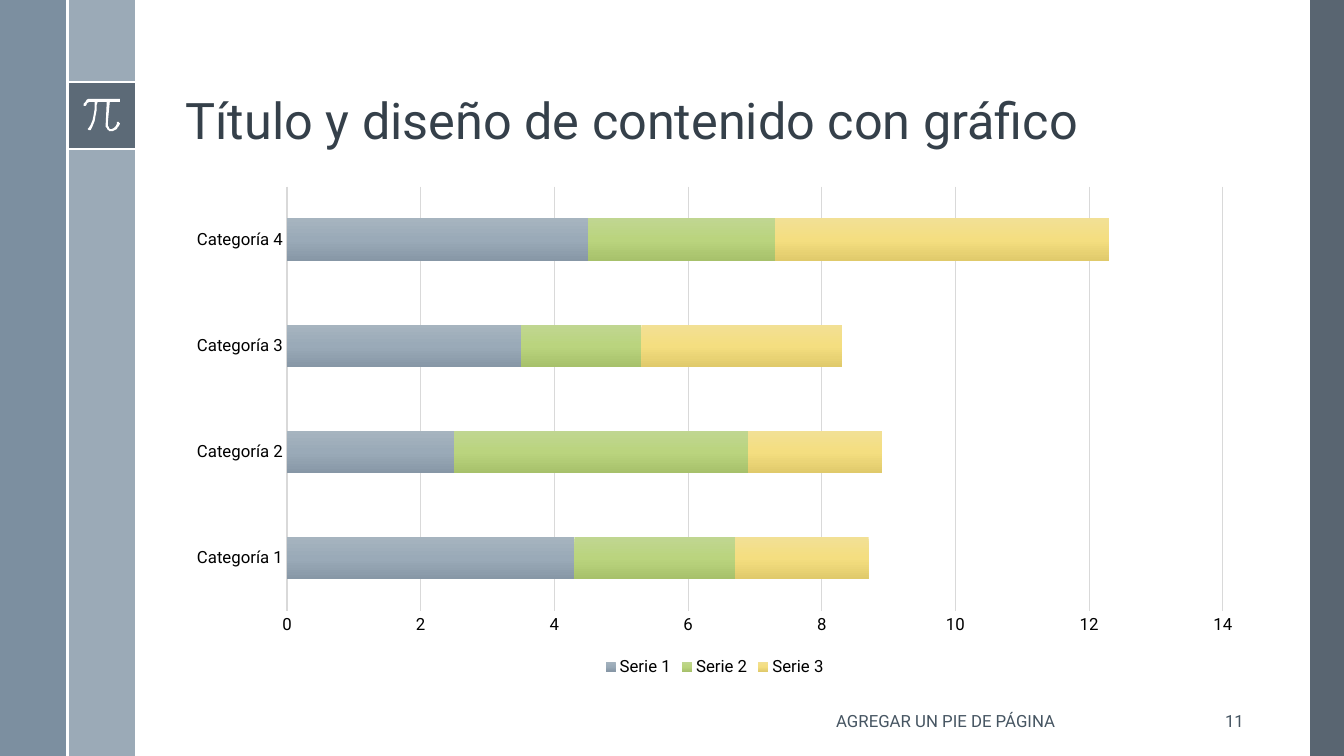
from copy import deepcopy
from dataclasses import dataclass

from pptx import Presentation
from pptx.chart.data import CategoryChartData
from pptx.dml.color import RGBColor
from pptx.enum.chart import XL_CHART_TYPE, XL_LEGEND_POSITION, XL_TICK_MARK
from pptx.enum.shapes import MSO_CONNECTOR, MSO_SHAPE
from pptx.enum.text import MSO_ANCHOR, MSO_AUTO_SIZE, PP_ALIGN
from pptx.oxml.ns import qn
from pptx.util import Cm, Pt
from lxml import etree

RECTANGLE = MSO_SHAPE.RECTANGLE
STRAIGHT = MSO_CONNECTOR.STRAIGHT
STACKED_BARS = XL_CHART_TYPE.BAR_STACKED
LEGEND_BOTTOM = XL_LEGEND_POSITION.BOTTOM
NO_TICKS = XL_TICK_MARK.NONE
MIDDLE, BOTTOM = MSO_ANCHOR.MIDDLE, MSO_ANCHOR.BOTTOM
LEFT, CENTER, RIGHT = PP_ALIGN.LEFT, PP_ALIGN.CENTER, PP_ALIGN.RIGHT
NO_AUTOFIT = MSO_AUTO_SIZE.NONE

FONT = "Roboto"
WHITE, BLACK, GRID, SLATE, TITLE_INK = "FFFFFF", "000000", "D9D9D9", "465562", "35404A"
WIDTH, HEIGHT = 33.87, 19.05
BAND = 1.7
TILE_TOP = 2.06
CONTENT_LEFT, CONTENT_WIDTH = 4.42, 27.18
FOOTER_TOP, FOOTER_HEIGHT = 17.65, 1.02
CURVE_STEPS = 6

PI_START = (118, 98)
PI_STROKES = [
    [(90, 98)],
    [(85, 98), (83, 103), (83, 104)],
    [(83, 104), (83, 105), (84, 105)],
    [(85, 105)],
    [(85, 105), (87, 101), (90, 101)],
    [(94, 101)],
    [(94, 105), (93, 122), (88, 127)],
    [(87, 128), (87, 128), (88, 129)],
    [(88, 129), (89, 129), (89, 129)],
    [(90, 129)],
    [(95, 123), (96, 105), (97, 101)],
    [(106, 101)],
    [(105, 122)],
    [(105, 122), (104, 126), (107, 129)],
    [(108, 130), (109, 130), (110, 130)],
    [(111, 130), (111, 130), (112, 130)],
    [(117, 130), (119, 123), (119, 122)],
    [(119, 122), (118, 121), (118, 121)],
    [(117, 121), (116, 121), (116, 122)],
    [(116, 122), (115, 127), (111, 128)],
    [(110, 128), (109, 128), (108, 127)],
    [(107, 126), (107, 123), (107, 122)],
    [(109, 101)],
    [(118, 101)],
    [(119, 101), (119, 100), (119, 100)],
    [(119, 99), (119, 98), (118, 98)],
]


@dataclass
class Panel:
    left: float
    top: float
    width: float
    height: float
    color: str
    opacity: int = 100


@dataclass
class Rule:
    x1: float
    y1: float
    x2: float
    y2: float


@dataclass
class Series:
    name: str
    values: tuple
    shades: tuple


@dataclass
class Label:
    text: str
    left: float
    width: float
    align: PP_ALIGN


PANELS = [
    Panel(33.02, 0, WIDTH - 33.02, HEIGHT, "475562", 90),
    Panel(BAND, 0, BAND, HEIGHT, "9BAAB7"),
    Panel(0, 0, BAND, HEIGHT, "6A8093", 88),
    Panel(BAND, TILE_TOP, BAND, BAND, "475562", 75),
]
RULES = [
    Rule(BAND, TILE_TOP, 2 * BAND, TILE_TOP),
    Rule(BAND, TILE_TOP + BAND, 2 * BAND, TILE_TOP + BAND),
    Rule(BAND, 0, BAND, HEIGHT),
]
CATEGORIES = [f"Categoría {number}" for number in range(1, 5)]
SERIES = [
    Series("Serie 1", (4.3, 2.5, 3.5, 4.5), ("A6B4BF", "9AAAB8", "8797A6")),
    Series("Serie 2", (2.4, 4.4, 1.8, 2.8), ("C0D691", "BAD47E", "A7C16B")),
    Series("Serie 3", (2, 2, 3, 5), ("F2E095", "F4DE80", "E0CA6B")),
]
LABELS = [
    Label("AGREGAR UN PIE DE PÁGINA", 18.31, 11.05, CENTER),
    Label("11", 29.9, 1.7, RIGHT),
]


def rgb(color: str) -> RGBColor:
    return RGBColor.from_string(color)


def set_font(font, size: float, color: str) -> None:
    font.name, font.size, font.bold = FONT, Pt(size), False
    font.color.rgb = rgb(color)


def paint(shape, color: str, opacity: int = 100) -> None:
    shape.shadow.inherit = False
    shape.fill.solid()
    shape.fill.fore_color.rgb = rgb(color)
    shape.line.fill.background()
    if opacity < 100:
        tint = shape.fill._xPr.find(qn("a:solidFill"))[0]
        etree.SubElement(tint, qn("a:alpha")).set("val", str(opacity * 1000))


def draw_panel(shapes, panel: Panel) -> None:
    box = map(Cm, (panel.left, panel.top, panel.width, panel.height))
    paint(shapes.add_shape(RECTANGLE, *box), panel.color, panel.opacity)


def draw_rule(shapes, rule: Rule) -> None:
    ends = map(Cm, (rule.x1, rule.y1, rule.x2, rule.y2))
    line = shapes.add_connector(STRAIGHT, *ends)
    line.line.color.rgb = rgb(WHITE)
    line.line.width = Pt(1.5)
    etree.SubElement(line._element.spPr, qn("a:effectLst"))


def curve_points(start: tuple, stroke: list) -> list:
    if len(stroke) == 1:
        return stroke
    points = []
    for step in range(1, CURVE_STEPS + 1):
        t = step / CURVE_STEPS
        weights = ((1 - t) ** 3, 3 * t * (1 - t) ** 2, 3 * t * t * (1 - t), t ** 3)
        points.append(tuple(
            sum(w * point[axis] for w, point in zip(weights, [start, *stroke]))
            for axis in (0, 1)
        ))
    return points


def draw_pi(shapes) -> None:
    outline = [PI_START]
    for stroke in PI_STROKES:
        outline += curve_points(outline[-1], stroke)
    builder = shapes.build_freeform(*PI_START, scale=Cm(2.54) / 100)
    builder.add_line_segments(outline[1:], close=True)
    paint(builder.convert_to_shape(), WHITE)


def write(frame, text: str, size: float, color: str, align: PP_ALIGN, anchor: MSO_ANCHOR):
    frame.word_wrap, frame.auto_size = True, NO_AUTOFIT
    frame.vertical_anchor = anchor
    paragraph = frame.paragraphs[0]
    paragraph.text, paragraph.alignment = text, align
    set_font(paragraph.font, size, color)
    return paragraph


def draw_label(shapes, label: Label) -> None:
    box = map(Cm, (label.left, FOOTER_TOP, label.width, FOOTER_HEIGHT))
    write(shapes.add_textbox(*box).text_frame, label.text, 12, SLATE, label.align, MIDDLE)


def shade(bars, shades: tuple) -> None:
    fill = bars.format.fill
    fill.gradient()
    fill.gradient_angle = 270
    stop_list = fill._xPr.find(".//" + qn("a:gsLst"))
    stop_list.insert(1, deepcopy(stop_list[0]))
    for stop, position, color in zip(fill.gradient_stops, (0, 0.5, 1), shades):
        stop.position = position
        stop.color.rgb = rgb(color)


def draw_chart(shapes) -> None:
    data = CategoryChartData()
    data.categories = CATEGORIES
    for series in SERIES:
        data.add_series(series.name, series.values)
    box = map(Cm, (CONTENT_LEFT, 4.45, CONTENT_WIDTH, 12.7))
    chart = shapes.add_chart(STACKED_BARS, *box, data).chart
    set_font(chart.font, 10, SLATE)
    chart.has_title = False
    chart.has_legend = True
    chart.legend.position = LEGEND_BOTTOM
    chart.legend.include_in_layout = False
    set_font(chart.legend.font, 12, BLACK)

    categories, values = chart.category_axis, chart.value_axis
    for axis in (categories, values):
        axis.major_tick_mark = axis.minor_tick_mark = NO_TICKS
        set_font(axis.tick_labels.font, 12, BLACK)
    values.minimum_scale, values.maximum_scale, values.major_unit = 0, 14, 2
    values.format.line.fill.background()
    for line in (categories.format.line, values.major_gridlines.format.line):
        line.color.rgb = rgb(GRID)
        line.width = Pt(0.75)

    plot = chart.plots[0]
    plot.gap_width, plot.overlap = 150, 100
    plot.vary_by_categories = False
    for bars, series in zip(plot.series, SERIES):
        shade(bars, series.shades)


def main() -> None:
    deck = Presentation()
    deck.slide_width, deck.slide_height = Cm(WIDTH), Cm(HEIGHT)
    slide = deck.slides.add_slide(deck.slide_layouts[5])
    shapes = slide.shapes
    for panel in PANELS:
        draw_panel(shapes, panel)
    for rule in RULES:
        draw_rule(shapes, rule)
    draw_pi(shapes)

    title = shapes.title
    title.left, title.top = Cm(CONTENT_LEFT), Cm(0.48)
    title.width, title.height = Cm(CONTENT_WIDTH), Cm(3.45)
    heading = "Título y diseño de contenido con gráfico"
    write(title.text_frame, heading, 36, TITLE_INK, LEFT, BOTTOM).line_spacing = 0.9

    draw_chart(shapes)
    for label in LABELS:
        draw_label(shapes, label)
    deck.save("out.pptx")


if __name__ == "__main__":
    main()
